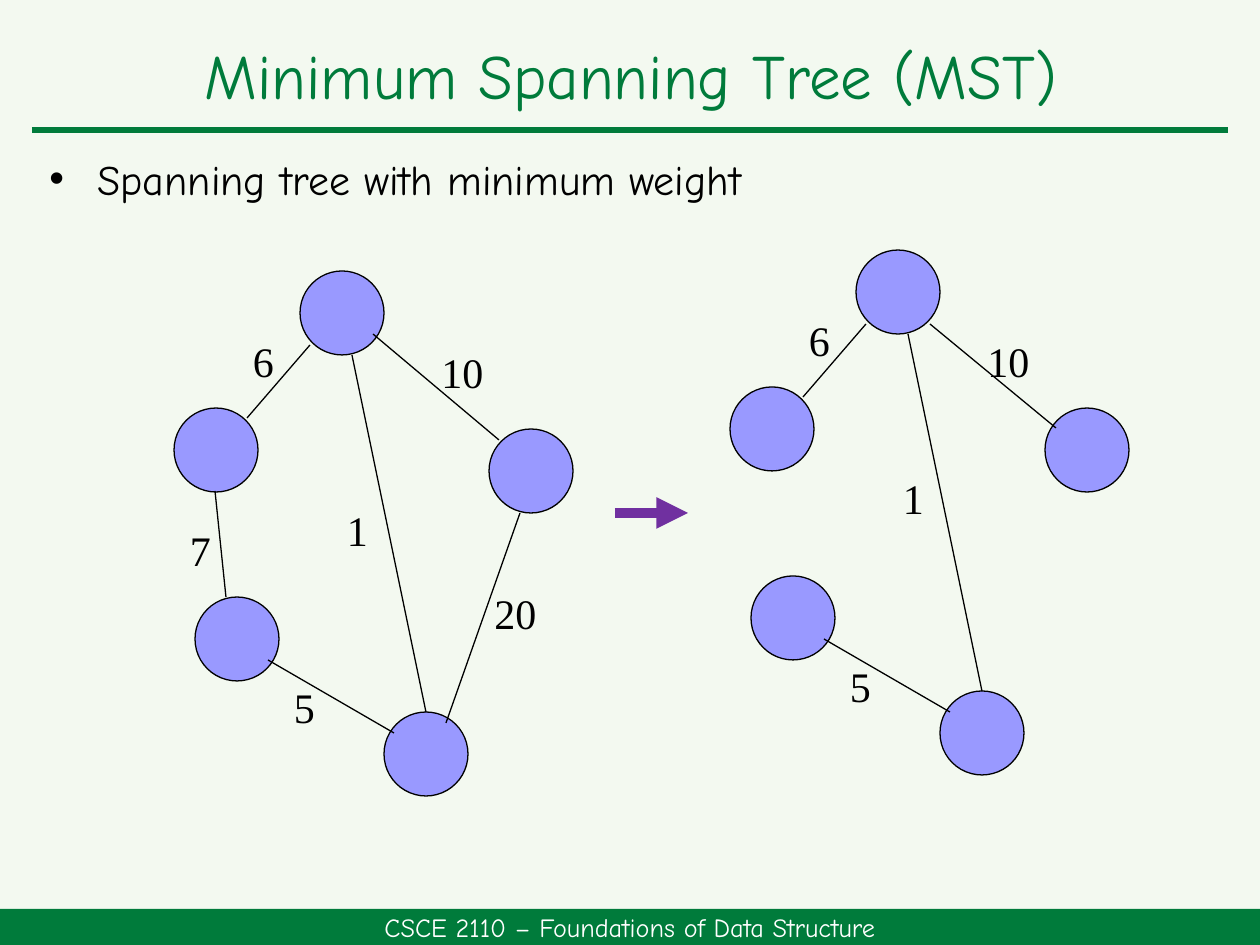
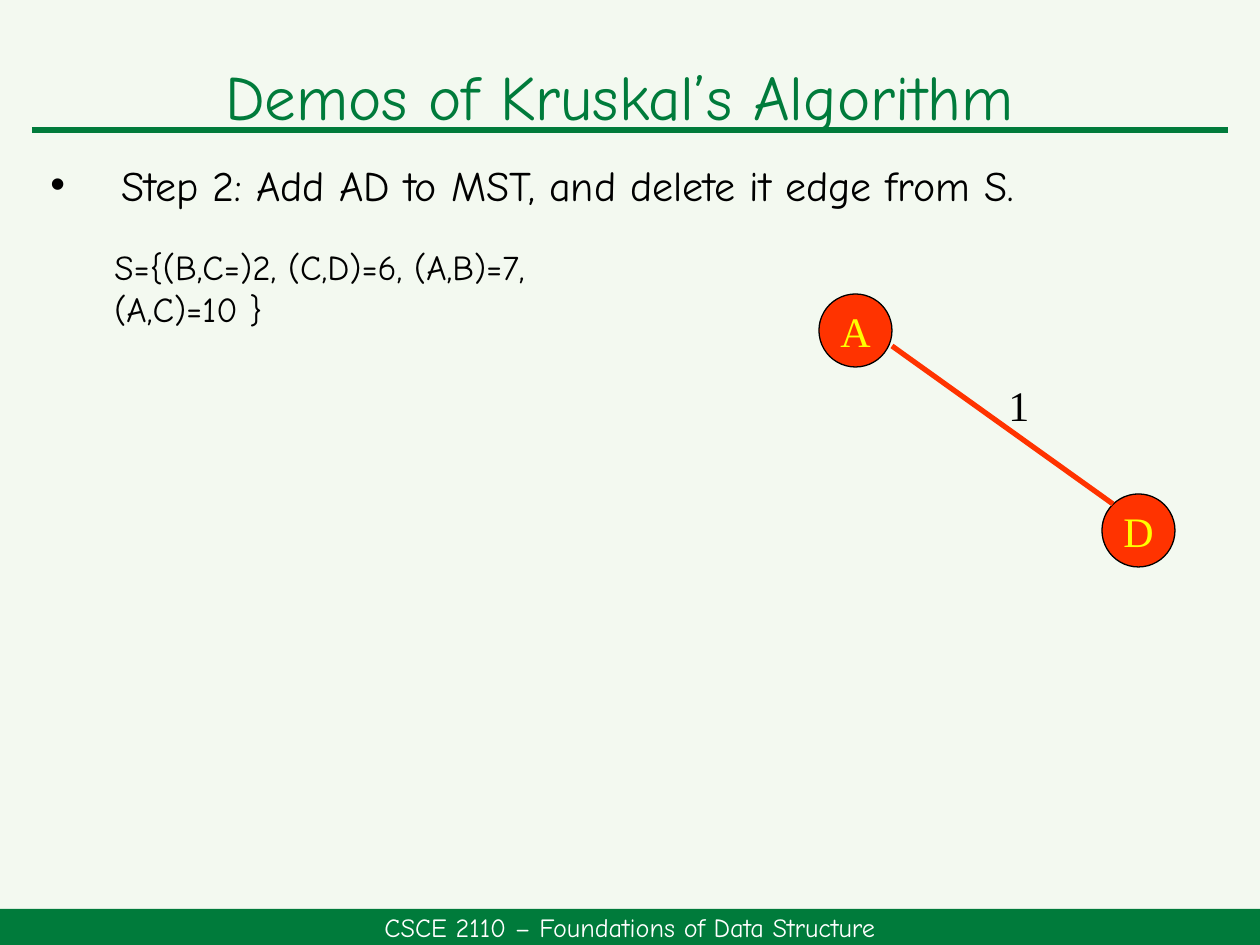
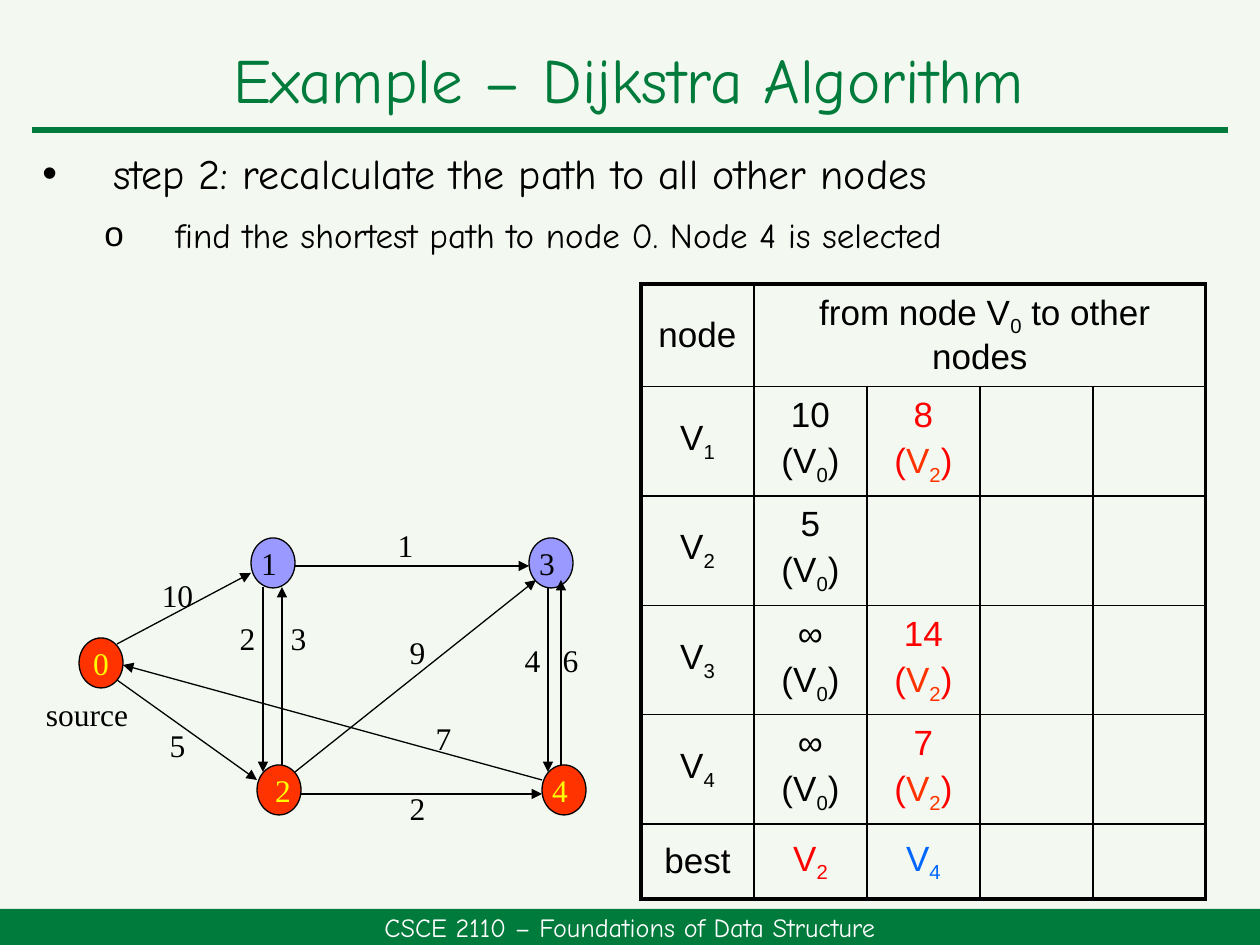
from dataclasses import dataclass
from typing import NamedTuple

from lxml.etree import SubElement as Sub
from pptx import Presentation
from pptx.dml.color import RGBColor as Rgb
from pptx.enum.shapes import MSO_CONNECTOR as Link, MSO_SHAPE as Form
from pptx.enum.text import MSO_ANCHOR as Anchor, PP_ALIGN as Align
from pptx.oxml.ns import qn
from pptx.util import Pt

SCALE = 914400 / 126
HUES = {
    "page": "F3F9F0", "green": "007B3B", "white": "FFFFFF", "black": "000000",
    "lilac": "9999FF", "flame": "FF3300", "yellow": "FFFF00", "red": "FF0000",
    "blue": "0066FF", "purple": "7030A0",
}
COMIC, TIMES, ARIAL = "Comic Neue", "Times New Roman", "Arial"
FOOTER = "CSCE 2110 – Foundations of Data Structure"


class Box(NamedTuple):
    x: int
    y: int
    w: int
    h: int


class Bit(NamedTuple):
    text: str
    hue: str = "black"


@dataclass(frozen=True)
class Node:
    x: int
    y: int
    text: str = ""
    fill: str = "lilac"
    ink: str = "black"


@dataclass(frozen=True)
class Edge:
    x1: int
    y1: int
    x2: int
    y2: int
    text: str
    tx: int
    ty: int


@dataclass(frozen=True)
class Style:
    node: tuple[int, int]
    label: tuple[int, int]
    size: int
    hue: str = "black"
    line: float = 0.75
    arrow: bool = False


def px(count: int) -> int:
    return round(count * SCALE)


def rgb(hue: str) -> Rgb:
    return Rgb.from_string(HUES[hue])


def place(box: Box) -> list[int]:
    return [px(side) for side in box]


def write(frame, lines, *, font=TIMES, size=24, hue="black", align=Align.CENTER,
          anchor=Anchor.MIDDLE, wrap=True, before=0, after=0, pitch=None):
    frame.word_wrap = wrap
    frame.vertical_anchor = anchor
    if not wrap:
        frame.margin_left = frame.margin_right = 0
    for spot, line in enumerate(lines):
        para = frame.add_paragraph() if spot else frame.paragraphs[0]
        para.alignment = align
        para.space_before, para.space_after = Pt(before), Pt(after)
        if pitch:
            para.line_spacing = pitch
        bits = [Bit(line, hue)] if isinstance(line, str) else line
        for bit in bits:
            head, *subs = bit.text.split("_")
            parts = [(head, False)]
            for sub in subs:
                parts += [(sub[0], True), (sub[1:], False)]
            for text, low in parts:
                if not text:
                    continue
                run = para.add_run()
                run.text = text
                run.font.name, run.font.size = font, Pt(size)
                run.font.bold = False
                run.font.color.rgb = rgb(bit.hue)
                if low:
                    run._r.get_or_add_rPr().set("baseline", "-25000")


def text_box(slide, box: Box, lines, **form):
    frame = slide.shapes.add_textbox(*place(box)).text_frame
    write(frame, lines, **form)
    return frame


def bullet(para, mark: str, left: int, hang: int):
    prop = para._p.get_or_add_pPr()
    prop.set("marL", str(px(left)))
    prop.set("indent", str(-px(hang)))
    Sub(prop, qn("a:buFont")).set("typeface", ARIAL)
    Sub(prop, qn("a:buChar")).set("char", mark)


def shape(slide, form, box: Box, fill: str, line: str | None = None):
    item = slide.shapes.add_shape(form, *place(box))
    item.shadow.inherit = False
    item.fill.solid()
    item.fill.fore_color.rgb = rgb(fill)
    if line:
        item.line.color.rgb = rgb(line)
        item.line.width = Pt(0.75)
    else:
        item.line.fill.background()
    return item


def link(slide, ends, hue="black", width=0.75, arrow=False):
    item = slide.shapes.add_connector(Link.STRAIGHT, *[px(end) for end in ends])
    item.line.color.rgb = rgb(hue)
    item.line.width = Pt(width)
    prop = item.element.spPr
    if arrow:
        Sub(prop.find(qn("a:ln")), qn("a:tailEnd")).set("type", "triangle")
    Sub(prop, qn("a:effectLst"))


def graph(slide, nodes: list[Node], edges: list[Edge], style: Style, dx=0, dy=0):
    for node in nodes:
        item = shape(slide, Form.OVAL, Box(node.x + dx, node.y + dy, *style.node),
                     node.fill, "black")
        if node.text:
            write(item.text_frame, [node.text], size=style.size, hue=node.ink, wrap=False)
    for edge in edges:
        ends = (edge.x1 + dx, edge.y1 + dy, edge.x2 + dx, edge.y2 + dy)
        link(slide, ends, style.hue, style.line, style.arrow)
    for edge in edges:
        text_box(slide, Box(edge.tx + dx, edge.ty + dy, *style.label), [edge.text],
                 size=style.size, wrap=False)


def start(deck, title: str, box: Box):
    slide = deck.slides.add_slide(deck.slide_layouts[5])
    link(slide, (32, 130, 1228, 130), "green", 3)
    band = shape(slide, Form.RECTANGLE, Box(0, 909, 1260, 36), "green").text_frame
    band.margin_top = band.margin_bottom = 0
    write(band, [FOOTER], font=COMIC, size=15, hue="white")
    head = slide.shapes.title
    head.left, head.top, head.width, head.height = place(box)
    write(head.text_frame, [title], font=COMIC, size=36, hue="green", pitch=0.9)
    return slide


def span_tree(deck):
    slide = start(deck, "Minimum Spanning Tree (MST)", Box(33, 32, 1196, 94))
    nodes = [Node(300, 271), Node(174, 408), Node(195, 597), Node(384, 712), Node(489, 429)]
    kept = [
        Edge(310, 345, 247, 418, "6", 237, 334),
        Edge(268, 660, 394, 733, "5", 278, 680),
    ]
    full = kept + [
        Edge(352, 355, 426, 712, "1", 331, 503),
        Edge(215, 491, 226, 597, "7", 174, 523),
        Edge(373, 334, 499, 440, "10", 436, 345),
        Edge(520, 513, 446, 723, "20", 489, 586),
    ]
    tree = kept + [
        Edge(352, 355, 426, 712, "1", 331, 492),
        Edge(374, 345, 500, 449, "10", 426, 355),
    ]
    style = Style(node=(84, 84), label=(53, 53), size=24)
    graph(slide, nodes, full, style)
    link(slide, (615, 513, 688, 513), "purple", 6, True)
    graph(slide, nodes, tree, style, 556, -21)
    frame = text_box(slide, Box(37, 147, 1191, 63), ["Spanning tree with minimum weight"],
                     font=COMIC, align=Align.LEFT, anchor=Anchor.TOP, before=12)
    bullet(frame.paragraphs[0], "•", 48, 48)


def kruskal(deck):
    slide = start(deck, "Demos of Kruskal’s Algorithm", Box(42, 21, 1155, 158))
    frame = text_box(slide, Box(38, 153, 1197, 122),
                     ["Step 2: Add AD to MST, and delete it edge from S."],
                     font=COMIC, align=Align.LEFT, anchor=Anchor.TOP, before=10, after=6)
    bullet(frame.paragraphs[0], "•", 71, 71)
    nodes = [Node(819, 294, "A", "flame", "yellow"), Node(1102, 494, "D", "flame", "yellow")]
    edges = [Edge(892, 346, 1113, 504, "1", 977, 378)]
    graph(slide, nodes, edges, Style((73, 73), (84, 53), 24, "flame", 3))
    text_box(slide, Box(102, 239, 480, 122), ["S={(B,C=)2, (C,D)=6, (A,B)=7, (A,C)=10 }"],
             font=COMIC, size=20, align=Align.LEFT, anchor=Anchor.TOP, before=4)


def first(cost: str):
    return [cost, "(V_0)"]


def newer(cost: str):
    return [[Bit(cost, "red")], [Bit("(", "red"), Bit("V_2", "flame"), Bit(")", "red")]]


def border(cell, row: int, col: int, rows: int, cols: int):
    prop = cell._tc.get_or_add_tcPr()
    right = col == cols - 1 or (row == 0 and col > 0)
    outer = {"L": col == 0, "R": right, "T": row == 0, "B": row == rows - 1}
    for side, thick in outer.items():
        line = Sub(prop, qn(f"a:ln{side}"))
        line.set("w", str(Pt(2.25 if thick else 1)))
        fill = Sub(line, qn("a:solidFill"))
        Sub(fill, qn("a:srgbClr")).set("val", HUES["black"])


def cost_table(slide):
    rows = [
        [["node"], [" from node V_0 to other nodes"]],
        [["V_1"], first("10"), newer("8")],
        [["V_2"], first("5")],
        [["V_3"], first("∞"), newer("14")],
        [["V_4"], first("∞"), newer("7")],
        [["best"], [[Bit("V_2", "red")]], [[Bit("V_4", "blue")]]],
    ]
    highs = [97] + [105] * 4 + [75]
    cols, wide = 5, 113
    box = Box(641, 284, cols * wide, sum(highs))
    table = slide.shapes.add_table(len(rows), cols, *place(box)).table
    table.first_row = table.horz_banding = False
    for col in table.columns:
        col.width = px(wide)
    for row, high in enumerate(highs):
        table.rows[row].height = px(high)
        for col in range(cols):
            cell = table.cell(row, col)
            border(cell, row, col, len(rows), cols)
            cell.fill.background()
            if col < len(rows[row]):
                frame = cell.text_frame
                write(frame, rows[row][col], font=ARIAL, size=20, before=4)
                frame.paragraphs[0].space_before = Pt(0)
            cell.vertical_anchor = Anchor.MIDDLE
    table.cell(0, 1).merge(table.cell(0, cols - 1))


def dijkstra(deck):
    slide = start(deck, "Example – Dijkstra Algorithm", Box(30, 42, 1197, 82))
    frame = text_box(slide, Box(30, 147, 1197, 147),
                     ["step 2: recalculate the path to all other nodes",
                      "find the shortest path to node 0. Node 4 is selected"],
                     font=COMIC, align=Align.LEFT, anchor=Anchor.TOP,
                     before=10, after=6, pitch=0.9)
    top, low = frame.paragraphs
    low.level = 1
    low.space_before = Pt(5)
    low.runs[0].font.size = Pt(20)
    bullet(top, "•", 71, 71)
    bullet(low, "o", 133, 71)
    nodes = [
        Node(79, 638, "0", "flame", "yellow"),
        Node(251, 538, "1 "),
        Node(257, 765, " 2", "flame", "yellow"),
        Node(529, 538, "3 "),
        Node(542, 765, "4 ", "flame", "yellow"),
    ]
    edges = [
        Edge(117, 680, 257, 780, "5", 149, 723),
        Edge(117, 644, 251, 573, "10", 149, 573),
        Edge(295, 566, 529, 566, "1", 377, 523),
        Edge(301, 794, 542, 794, "2", 389, 786),
        Edge(548, 587, 548, 772, "4", 504, 638),
        Edge(561, 765, 561, 580, "6", 542, 638),
        Edge(263, 587, 263, 772, "2", 219, 616),
        Edge(282, 765, 282, 587, "3", 270, 616),
        Edge(295, 772, 536, 580, "9", 389, 630),
        Edge(542, 780, 123, 665, "7", 415, 716),
    ]
    graph(slide, nodes, edges, Style((44, 50), (57, 43), 18, arrow=True))
    text_box(slide, Box(37, 692, 100, 43), ["source"], size=18, wrap=False)
    cost_table(slide)


def main():
    deck = Presentation()
    deck.slide_width, deck.slide_height = px(1260), px(945)
    back = deck.slide_master.background.fill
    back.solid()
    back.fore_color.rgb = rgb("page")
    for build in (span_tree, kruskal, dijkstra):
        build(deck)
    deck.save("out.pptx")


if __name__ == "__main__":
    main()
